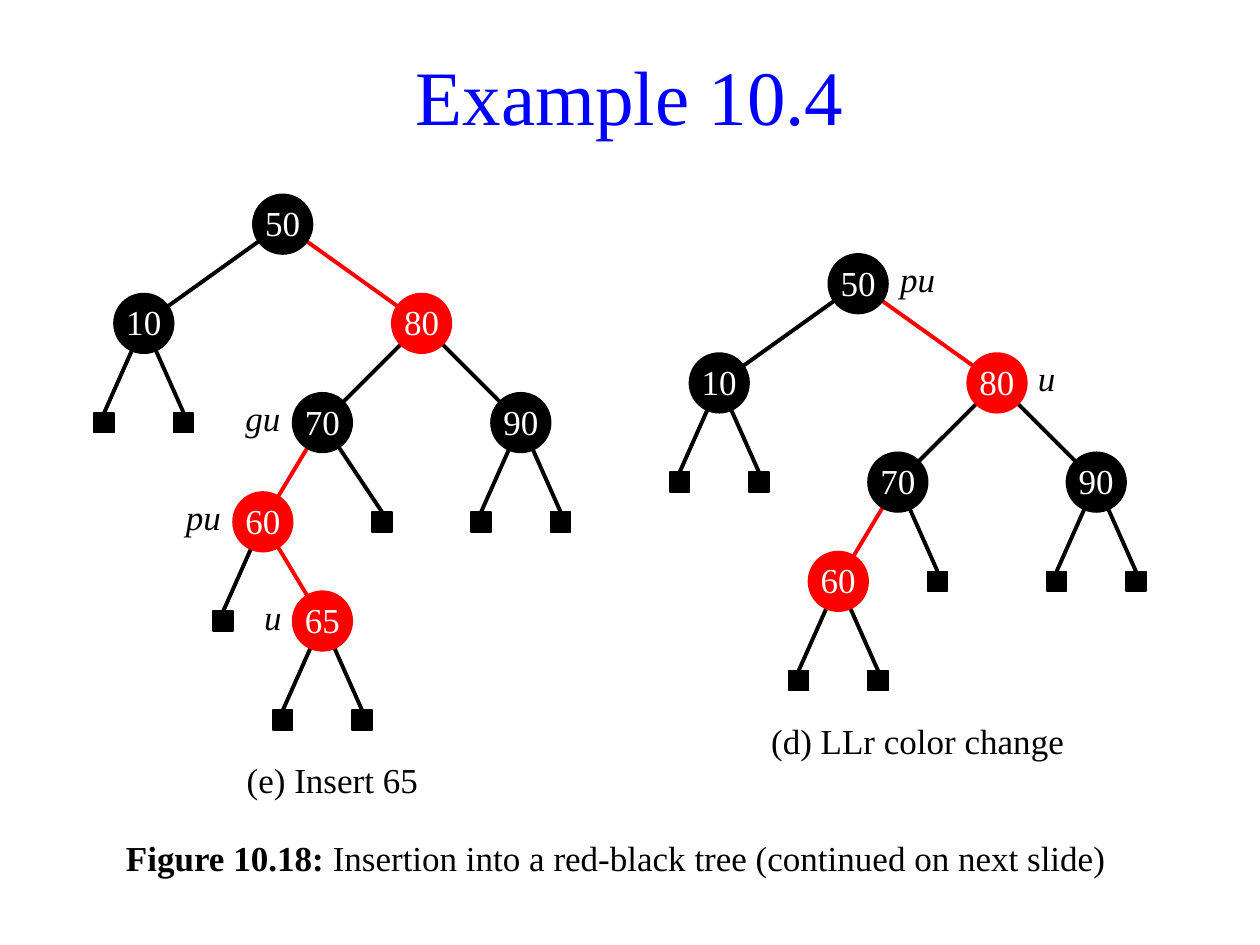
from lxml.etree import SubElement
from pptx import Presentation
from pptx.dml.color import RGBColor
from pptx.enum.shapes import MSO_CONNECTOR, MSO_SHAPE
from pptx.enum.text import MSO_ANCHOR, PP_ALIGN
from pptx.oxml.ns import qn
from pptx.util import Cm, Pt

BLACK = RGBColor(0, 0, 0)
RED = RGBColor(255, 0, 0)
BLUE = RGBColor(0, 0, 255)
WHITE = RGBColor(255, 255, 255)
FONT = "Times New Roman"

NODE_SIZE, LEAF_SIZE, LEVEL = 1.2, 0.4, 2
LABEL_WIDTH = {"u": 0.8, "pu": 1.2, "gu": 1.2}


def node(key, color, *children, label=None, side=-1):
    return {"key": key, "color": color, "children": children, "label": label, "side": side}


LEAVES = ((-0.8, None), (0.8, None))
TEN = node("10", BLACK, *LEAVES)
NINETY = node("90", BLACK, *LEAVES)

inserted = node(
    "50", BLACK,
    (-2.8, TEN),
    (2.8, node(
        "80", RED,
        (-2, node(
            "70", BLACK,
            (-1.2, node(
                "60", RED,
                (-0.8, None),
                (1.2, node("65", RED, *LEAVES, label="u")),
                label="pu")),
            (1.2, None),
            label="gu")),
        (2, NINETY))))

recolored = node(
    "50", BLACK,
    (-2.8, TEN),
    (2.8, node(
        "80", RED,
        (-2, node(
            "70", BLACK,
            (-1.2, node("60", RED, *LEAVES)),
            (0.8, None))),
        (2, NINETY),
        label="u", side=1)),
    label="pu", side=1)

TREES = [(inserted, 5.7, 4.52), (recolored, 17.3, 5.72)]
CAPTIONS = [
    ("(e) Insert 65", (4.7, 15.11, 4, 1.2)),
    ("(d) LLr color change", (15.1, 14.32, 6.8, 1.2)),
]
TITLE = "Example 10.4"
FIGURE = [("Figure 10.18: ", True), ("Insertion into a red-black tree (continued on next slide)", False)]

deck = Presentation()
deck.slide_width, deck.slide_height = Cm(25.4), Cm(19.05)
page = deck.slides.add_slide(deck.slide_layouts[6])


def write(shape, spans, size=20, color=BLACK, italic=False, align=PP_ALIGN.CENTER,
          anchor=MSO_ANCHOR.MIDDLE, margins=(0.25, 0.13, 0.25, 0.13), before=0):
    frame = shape.text_frame
    frame.word_wrap = True
    frame.vertical_anchor = anchor
    (frame.margin_left, frame.margin_top,
     frame.margin_right, frame.margin_bottom) = map(Cm, margins)
    para = frame.paragraphs[0]
    para.alignment = align
    para.space_before = Pt(before)
    for text, bold in spans:
        span = para.add_run()
        span.text = text
        span.font.name = FONT
        span.font.size = Pt(size)
        span.font.bold = bold
        span.font.italic = italic
        span.font.color.rgb = color


def add_text(spans, place, **style):
    box = page.shapes.add_textbox(*map(Cm, place))
    write(box, spans, **style)


def add_mark(kind, x, y, size, color):
    mark = page.shapes.add_shape(kind, Cm(x - size / 2), Cm(y - size / 2), Cm(size), Cm(size))
    mark.shadow.inherit = False
    mark.fill.solid()
    mark.fill.fore_color.rgb = color
    mark.line.color.rgb = color
    mark.line.width = Pt(1)
    return mark


def add_edge(x1, y1, x2, y2, color):
    edge = page.shapes.add_connector(MSO_CONNECTOR.STRAIGHT, Cm(x1), Cm(y1), Cm(x2), Cm(y2))
    edge.line.color.rgb = color
    edge.line.width = Pt(2.25)
    SubElement(edge._element.spPr, qn("a:effectLst"))


def draw_tree(tree, x, y):
    for offset, child in tree["children"]:
        child_x, child_y = x + offset, y + LEVEL
        if child:
            add_edge(x, y, child_x, child_y, child["color"])
            draw_tree(child, child_x, child_y)
        else:
            add_edge(x, y, child_x, child_y - LEAF_SIZE / 2, BLACK)
            add_mark(MSO_SHAPE.RECTANGLE, child_x, child_y, LEAF_SIZE, BLACK)
    circle = add_mark(MSO_SHAPE.OVAL, x, y, NODE_SIZE, tree["color"])
    write(circle, [(tree["key"], False)], color=WHITE, anchor=MSO_ANCHOR.BOTTOM,
          margins=(0, 0, 0, 0.03))
    if tree["label"]:
        width = LABEL_WIDTH[tree["label"]]
        center = x + tree["side"] * (NODE_SIZE + width) / 2
        add_text([(tree["label"], False)],
                 (center - width / 2, y - NODE_SIZE / 2, width, NODE_SIZE),
                 italic=True, margins=(0.2, 0, 0.2, 0.2))


add_text([(TITLE, False)], (1.09, 0.71, 23.22, 2.39), size=44, color=BLUE)
add_text(FIGURE, (2.29, 16.74, 20.8, 1.19), align=PP_ALIGN.LEFT, anchor=MSO_ANCHOR.TOP, before=4)
for tree, x, y in TREES:
    draw_tree(tree, x, y)
for text, place in CAPTIONS:
    add_text([(text, False)], place)

deck.save("out.pptx")
